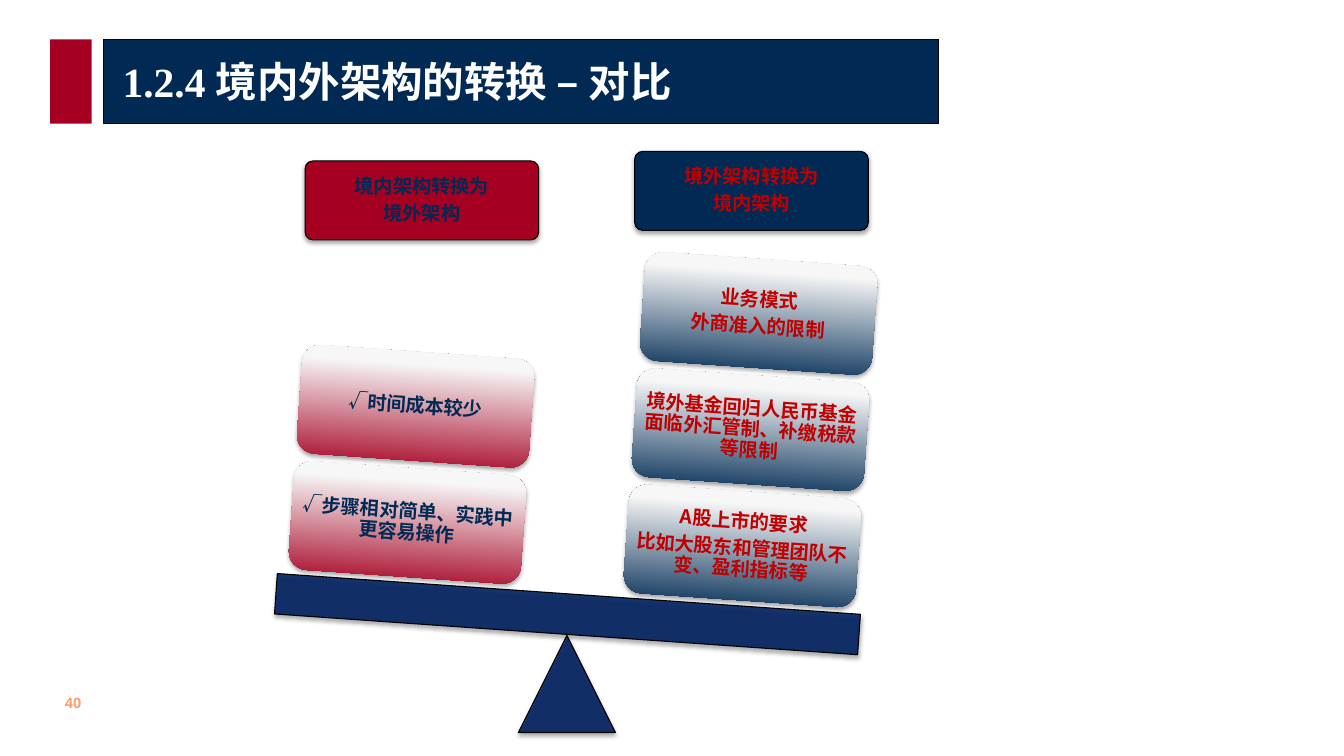
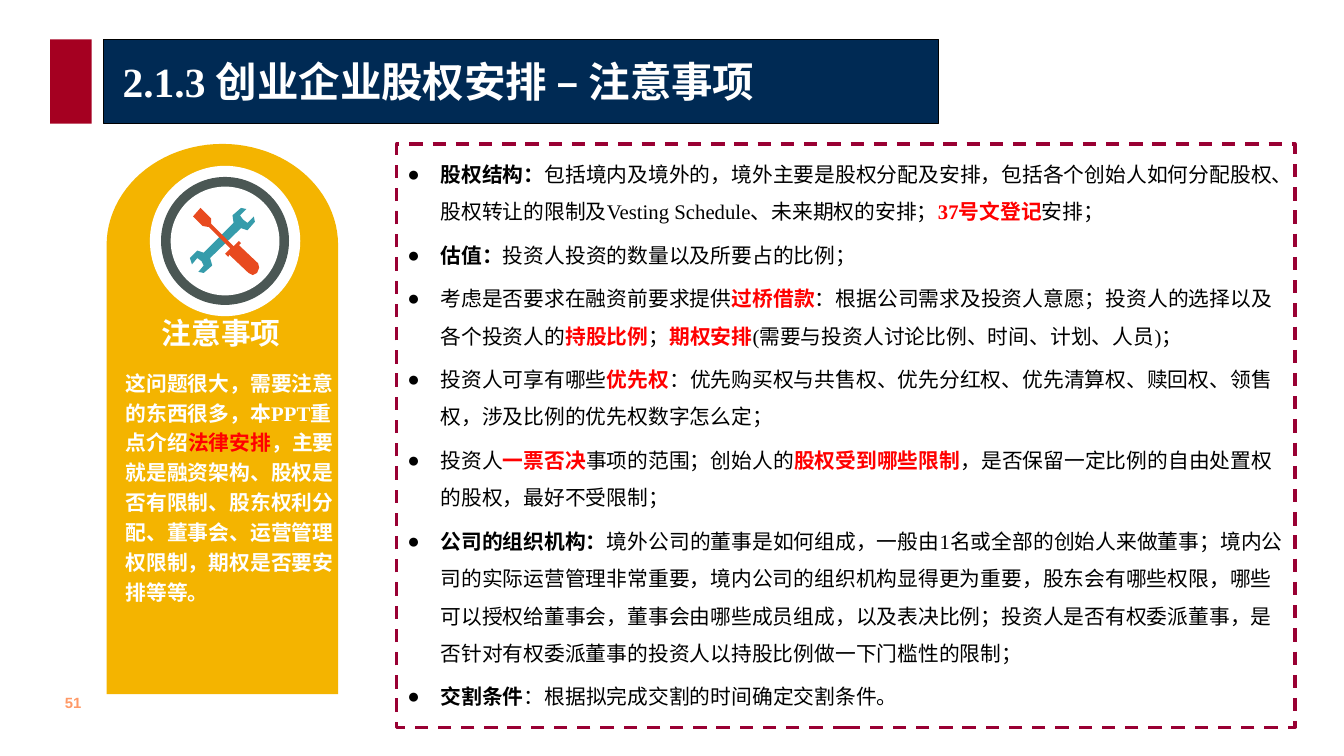
from dataclasses import dataclass
from math import cos, pi, sin

from lxml.etree import SubElement as Sub
from pptx import Presentation
from pptx.dml.color import RGBColor as Rgb
from pptx.enum.dml import MSO_LINE as Dash
from pptx.enum.shapes import MSO_SHAPE as Kind
from pptx.enum.text import MSO_ANCHOR as Anchor, MSO_AUTO_SIZE as Fit, PP_ALIGN as Align
from pptx.oxml.ns import qn
from pptx.util import Inches, Pt


@dataclass(frozen=True)
class Theme:
    navy: str = "002A54"
    blue: str = "002060"
    wine: str = "A50021"
    plum: str = "990033"
    brick: str = "C00000"
    red: str = "FF0000"
    gold: str = "F4B400"
    slate: str = "4B5754"
    teal: str = "369CAB"
    rust: str = "E84A1F"
    peach: str = "FF9966"
    pale: str = "F7F7F7"
    white: str = "FFFFFF"
    black: str = "000000"
    serif: str = "Times New Roman"
    sans: str = "Arial"
    han: str = "Noto Sans CJK SC"
    head: float = 28
    label: float = 20
    body: float = 14
    card: float = 13
    foot: float = 10


T = Theme()
# Grid: ten columns and ten rows to the inch
COLS, ROWS = 126, 70.9


def cell(n):
    return Inches(n / 10)


class Deck:
    def __init__(self):
        self.prs = Presentation()
        self.prs.slide_width, self.prs.slide_height = cell(COLS), cell(ROWS)
        self.page = None

    def start(self, layout, title, number):
        """Add a slide with its band, title and page number."""
        self.page = self.prs.slides.add_slide(self.prs.slide_layouts[layout])
        self.shape(Kind.RECTANGLE, (9.7, 3.7, 78.3, 7.9), T.navy, T.black, 1)
        self.shape(Kind.RECTANGLE, (4.7, 3.7, 3.9, 7.9), T.wine)
        head = self.page.shapes.title
        self.page.shapes._spTree.append(head._element)  # in front of the band
        self.place(head, (10.5, 3.8, 76.7, 7.5))
        head.text_frame.vertical_anchor = Anchor.MIDDLE
        self.words(head.text_frame, [title], T.head, T.white)
        self.label((5.1, 64.6, 3.7, 2.7), number, T.foot, T.peach, T.sans, wrap=False)

    def place(self, item, box):
        item.left, item.top, item.width, item.height = map(cell, box)

    def paint(self, item, fill, line=None, width=0.75):
        item.shadow.inherit = False
        item.fill.solid()
        item.fill.fore_color.rgb = Rgb.from_string(fill)
        if line:
            item.line.color.rgb = Rgb.from_string(line)
            item.line.width = Pt(width)
        else:
            item.line.fill.background()
        return item

    def shape(self, kind, box, fill, line=None, width=0.75):
        item = self.page.shapes.add_shape(kind, *map(cell, box))
        return self.paint(item, fill, line, width)

    def outline(self, points, fill):
        first, *rest = [(cell(x), cell(y)) for x, y in points]
        pen = self.page.shapes.build_freeform(*first)
        pen.add_line_segments(rest, close=True)
        return self.paint(pen.convert_to_shape(), fill)

    def shade(self, item):
        """Give a soft shadow straight below."""
        glow = Sub(item._element.spPr.find(qn("a:effectLst")), qn("a:outerShdw"),
                   blurRad=str(Pt(3.1)), dist=str(Pt(1.8)), dir="5400000", rotWithShape="0")
        ink = Sub(glow, qn("a:srgbClr"), val=T.black)
        Sub(ink, qn("a:alpha"), val="35000")

    def solid(self, kind, box, turn=0):
        """Part of the seesaw: slightly clear fill and a shadow."""
        item = self.shape(kind, box, T.blue, T.black)
        ink = item._element.spPr.find(qn("a:solidFill")).find(qn("a:srgbClr"))
        Sub(ink, qn("a:alpha"), val="90000")
        item.rotation = turn
        self.shade(item)

    def card(self, box, lines, fill, ink, turn=0):
        """Rounded card; a tilted one fades from its fill to pale."""
        item = self.shape(Kind.ROUNDED_RECTANGLE, box, fill, None if turn else T.black)
        if turn:
            item.rotation = turn
            item.fill.gradient()
            item.fill.gradient_angle = 90
            for stop, tone, spot in zip(item.fill.gradient_stops, (fill, T.pale), (0, 0.8)):
                stop.color.rgb, stop.position = Rgb.from_string(tone), spot
        else:
            item.adjustments[0] = 0.1
        self.shade(item)
        frame = item.text_frame
        frame.margin_left = frame.margin_right = cell(0.5)
        frame.vertical_anchor = Anchor.MIDDLE
        self.words(frame, lines, T.card, ink, T.han, align=Align.CENTER, pitch=0.9, after=4)

    def label(self, box, text, size, ink, face=T.serif, wrap=True, pitch=1):
        frame = self.page.shapes.add_textbox(*map(cell, box)).text_frame
        self.words(frame, [text], size, ink, face, pitch=pitch, wrap=wrap)

    def bullets(self, box, lines):
        """Bulleted list in the body placeholder, with a dashed frame."""
        body = self.page.placeholders[1]
        self.place(body, box)
        body.line.color.rgb = Rgb.from_string(T.plum)
        body.line.width = Pt(2.25)
        body.line.dash_style = Dash.DASH
        self.words(body.text_frame, lines, T.body, T.black, bold=False, pitch=1.5, before=4.2)
        for para in body.text_frame.paragraphs:
            props = para._p.get_or_add_pPr()
            props.set("marL", str(cell(3.1)))
            props.set("indent", str(-cell(3.1)))
            Sub(props, qn("a:buChar"), char="●")

    def words(self, frame, lines, size, ink, face=T.serif, bold=True,
              align=Align.LEFT, pitch=1, before=0, after=0, wrap=True):
        """Runs are split by |; a leading * is bold, a leading ! bold and red."""
        frame.word_wrap = wrap
        frame.auto_size = Fit.NONE
        frame.text = "\n".join(lines)
        for para, line in zip(frame.paragraphs, lines):
            para.alignment, para.line_spacing = align, pitch
            para.space_before, para.space_after = Pt(before), Pt(after)
            parts = line.split("|")
            para.text = parts[0].lstrip("*!")
            for part in parts[1:]:
                para.add_run().text = part.lstrip("*!")
            for run, part in zip(para.runs, parts):
                font = run.font
                font.size, font.name = Pt(size), face
                font.bold = bold or part[0] in "*!"
                font.color.rgb = Rgb.from_string(T.red if part[0] == "!" else ink)
                Sub(run._r.get_or_add_rPr(), qn("a:ea"), typeface=T.han)


def compare(deck):
    deck.start(5, "1.2.4 境内外架构的转换 – 对比", "40")
    # Heads of the two sides
    deck.card((28.6, 15.1, 21.9, 7.4), ["境内架构转换为", "境外架构"], T.wine, T.navy)
    deck.card((59.5, 14.2, 21.9, 7.4), ["境外架构转换为", "境内架构"], T.navy, T.brick)
    # Seesaw
    tilt = 4
    deck.solid(Kind.ISOSCELES_TRIANGLE, (48.6, 59.6, 9.1, 9.1))
    deck.solid(Kind.RECTANGLE, (25.8, 55.7, 54.8, 3.8), tilt)
    # Stacks of cards, from the plank upwards
    stacks = [
        (58.7, 46.1, T.navy, T.brick, [
            ["A股上市的要求", "比如大股东和管理团队不变、盈利指标等"],
            ["境外基金回归人民币基金面临外汇管制、补缴税款等限制"],
            ["业务模式", "外商准入的限制"]]),
        (27.3, 43.9, T.wine, T.navy, [
            ["√步骤相对简单、实践中更容易操作"],
            ["√时间成本较少"]]),
    ]
    for left, top, fill, ink, cards in stacks:
        for step, lines in enumerate(cards):
            box = (left + 0.76 * step, top - 10.9 * step, 21.8, 10.2)
            deck.card(box, lines, fill, ink, tilt)


def advise(deck):
    deck.start(1, "2.1.3 创业企业股权安排 – 注意事项", "51")
    # Arch: half an ellipse on a straight panel
    mid, half, rise, brow, steps = 20.85, 10.85, 9.5, 23, 48
    arch = [(mid - half * cos(pi * n / steps), brow - rise * sin(pi * n / steps))
            for n in range(steps + 1)]
    deck.outline(arch + [(mid + half, 65.1), (mid - half, 65.1)], T.gold)
    # Badge of three rings
    for size, fill in ((14.1, T.white), (12, T.slate), (10.2, T.white)):
        deck.shape(Kind.OVAL, (21.1 - size / 2, 22.6 - size / 2, size, size), fill)
    # Spanner and screwdriver
    deck.outline([
        (23.8, 20.3), (23.9, 20.8), (23.2, 21.6), (22.6, 21.4), (19.7, 24.2),
        (19.9, 24.9), (19.1, 25.6), (18.6, 25.5), (19.1, 24.9), (18.9, 24.5),
        (18.5, 24.2), (18, 24.8), (17.8, 24.2), (18.5, 23.5), (19.1, 23.7),
        (21.9, 20.9), (21.8, 20.2), (22.6, 19.5), (23.1, 19.6), (22.5, 20.2),
        (22.8, 20.6), (23.2, 20.9)], T.teal)
    deck.outline([
        (19.8, 21), (21.9, 23.1), (22.4, 22.6), (22.6, 22.8), (22.4, 23),
        (24.2, 24.7), (24.3, 25.1), (24.1, 25.6), (23.7, 25.8), (23.3, 25.6),
        (21.5, 23.9), (21.4, 24.1), (21.1, 23.8), (21.6, 23.3), (19.6, 21.3),
        (19, 21.2), (18.1, 20.3), (18.8, 19.5), (19.8, 20.5)], T.rust)
    # Text on the panel
    deck.label((14.2, 29, 13.2, 4.4), "注意事项", T.label, T.white, T.han, wrap=False)
    deck.label((10.8, 33.8, 21.7, 23.6),
               "这问题很大，需要注意的东西很多，本PPT重点介绍|!法律安排|，主要就是融资架构、"
               "股权是否有限制、股东权利分配、董事会、运营管理权限制，期权是否要安排等等。",
               T.body, T.white, pitch=1.2)
    # Points to note
    deck.bullets((37.2, 13.5, 84.2, 54.7), [
        "*股权结构：|包括境内及境外的，境外主要是股权分配及安排，包括各个创始人如何分配股权、"
        "股权转让的限制及Vesting Schedule、未来期权的安排；|!37号文登记|安排；",
        "*估值：|投资人投资的数量以及所要占的比例；",
        "考虑是否要求在融资前要求提供|!过桥借款|：根据公司需求及投资人意愿；投资人的选择以及"
        "各个投资人的|!持股比例|；|!期权安排|(需要与投资人讨论比例、时间、计划、人员)；",
        "投资人可享有哪些|!优先权|：优先购买权与共售权、优先分红权、优先清算权、赎回权、领售权，"
        "涉及比例的优先权数字怎么定；",
        "投资人|!一票否决|事项的范围；创始人的|!股权受到哪些限制|，是否保留一定比例的自由处置权"
        "的股权，最好不受限制；",
        "*公司的组织机构：|境外公司的董事是如何组成，一般由1名或全部的创始人来做董事；境内公司的"
        "实际运营管理非常重要，境内公司的组织机构显得更为重要，股东会有哪些权限，哪些可以授权给"
        "董事会，董事会由哪些成员组成，以及表决比例；投资人是否有权委派董事，是否针对有权委派董事的"
        "投资人以持股比例做一下门槛性的限制；",
        "*交割条件|：根据拟完成交割的时间确定交割条件。",
    ])


def main():
    deck = Deck()
    compare(deck)
    advise(deck)
    deck.prs.save("out.pptx")


if __name__ == "__main__":
    main()
